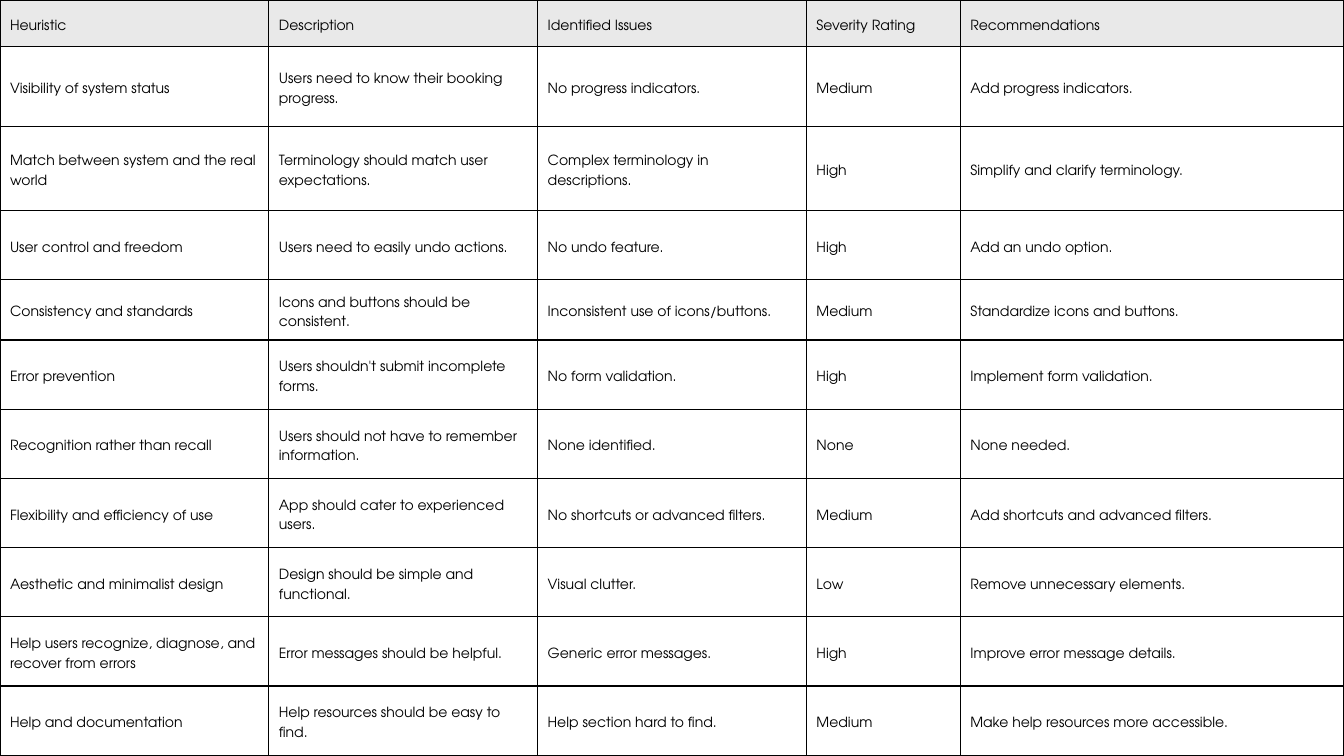
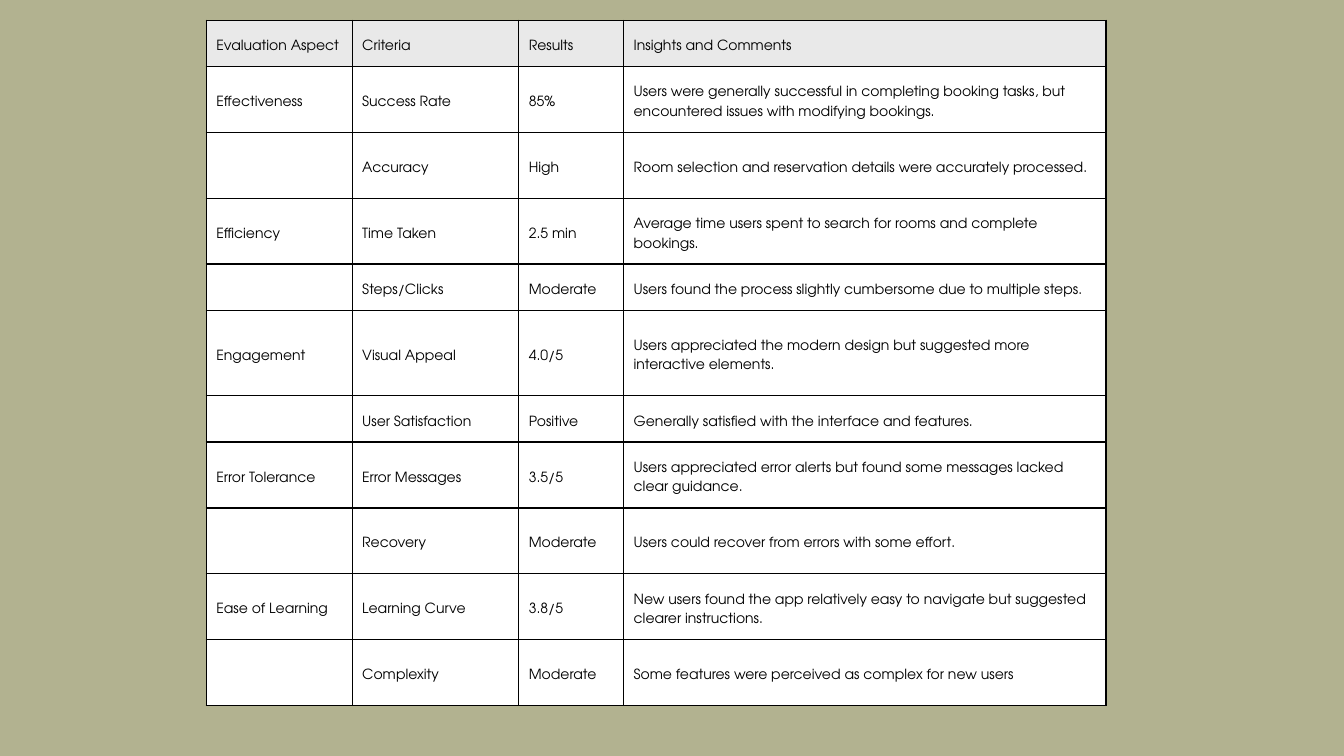
from dataclasses import dataclass

from lxml import etree
from pptx import Presentation
from pptx.dml.color import RGBColor
from pptx.enum.text import MSO_ANCHOR
from pptx.oxml.ns import qn
from pptx.util import Inches, Pt

MIDDLE = MSO_ANCHOR.MIDDLE
BLANK = 6


@dataclass(frozen=True)
class Theme:
    background: str = "B2B290"
    header: str = "E9E9E9"
    body: str = "FFFFFF"
    ink: str = "000000"
    font: str = "TeX Gyre Adventor"
    size: float = 15
    leading: float = 21
    border: float = 1.5
    inset: float = 0.15


THEME = Theme()
SLIDE_W, SLIDE_H = 20, 11.25
HEADER_H = 0.69

# Content: the first row of each table is its header
HEURISTICS = [
    ("Heuristic", "Description", "Identified Issues", "Severity Rating", "Recommendations"),
    ("Visibility of system status", "Users need to know their booking progress.",
     "No progress indicators.", "Medium", "Add progress indicators."),
    ("Match between system and the real world", "Terminology should match user expectations.",
     "Complex terminology in descriptions.", "High", "Simplify and clarify terminology."),
    ("User control and freedom", "Users need to easily undo actions.",
     "No undo feature.", "High", "Add an undo option."),
    ("Consistency and standards", "Icons and buttons should be consistent.",
     "Inconsistent use of icons/buttons.", "Medium", "Standardize icons and buttons."),
    ("Error prevention", "Users shouldn't submit incomplete forms.",
     "No form validation.", "High", "Implement form validation."),
    ("Recognition rather than recall", "Users should not have to remember information.",
     "None identified.", "None", "None needed."),
    ("Flexibility and efficiency of use", "App should cater to experienced users.",
     "No shortcuts or advanced filters.", "Medium", "Add shortcuts and advanced filters."),
    ("Aesthetic and minimalist design", "Design should be simple and functional.",
     "Visual clutter.", "Low", "Remove unnecessary elements."),
    ("Help users recognize, diagnose, and recover from errors",
     "Error messages should be helpful.",
     "Generic error messages.", "High", "Improve error message details."),
    ("Help and documentation", "Help resources should be easy to find.",
     "Help section hard to find.", "Medium", "Make help resources more accessible."),
]

EVALUATION = [
    ("Evaluation Aspect", "Criteria", "Results", "Insights and Comments"),
    ("Effectiveness", "Success Rate", "85%",
     "Users were generally successful in completing booking tasks, "
     "but encountered issues with modifying bookings."),
    ("", "Accuracy", "High",
     "Room selection and reservation details were accurately processed."),
    ("Efficiency", "Time Taken", "2.5 min",
     "Average time users spent to search for rooms and complete bookings."),
    ("", "Steps/Clicks", "Moderate",
     "Users found the process slightly cumbersome due to multiple steps."),
    ("Engagement", "Visual Appeal", "4.0/5",
     "Users appreciated the modern design but suggested more interactive elements."),
    ("", "User Satisfaction", "Positive",
     "Generally satisfied with the interface and features."),
    ("Error Tolerance", "Error Messages", "3.5/5",
     "Users appreciated error alerts but found some messages lacked clear guidance."),
    ("", "Recovery", "Moderate", "Users could recover from errors with some effort."),
    ("Ease of Learning", "Learning Curve", "3.8/5",
     "New users found the app relatively easy to navigate but suggested clearer instructions."),
    ("", "Complexity", "Moderate", "Some features were perceived as complex for new users"),
]

# Layout: usual row height, with the rows that differ from it by index
SLIDES = [
    dict(rows=HEURISTICS, left=0, top=0, widths=(4, 4, 4, 2.29, 5.71),
         row_h=1.03, special={1: 1.19, 2: 1.25, 4: 0.9}),
    dict(rows=EVALUATION, left=3.07, top=0.3, widths=(2.17, 2.48, 1.56, 7.18),
         row_h=0.98, special={4: HEADER_H, 5: 1.27, 6: HEADER_H}),
]


def set_borders(cell):
    tcPr = cell._tc.get_or_add_tcPr()
    for side in ("a:lnL", "a:lnR", "a:lnT", "a:lnB"):
        ln = etree.SubElement(tcPr, qn(side), w=str(Pt(THEME.border)))
        fill = etree.SubElement(ln, qn("a:solidFill"))
        etree.SubElement(fill, qn("a:srgbClr"), val=THEME.ink)


def style_cell(cell, text, color):
    set_borders(cell)
    cell.fill.solid()
    cell.fill.fore_color.rgb = RGBColor.from_string(color)
    cell.vertical_anchor = MIDDLE
    inset = Inches(THEME.inset)
    cell.margin_left = cell.margin_right = cell.margin_top = cell.margin_bottom = inset
    cell.text = text
    p = cell.text_frame.paragraphs[0]
    p.line_spacing = Pt(THEME.leading)
    p.font.name = THEME.font
    p.font.size = Pt(THEME.size)
    p.font.color.rgb = RGBColor.from_string(THEME.ink)


def add_grid(s, rows, left, top, widths, row_h, special):
    heights = [special.get(i, row_h) if i else HEADER_H for i in range(len(rows))]
    box = (Inches(v) for v in (left, top, sum(widths), sum(heights)))
    table = s.shapes.add_table(len(rows), len(widths), *box).table
    table.first_row = table.horz_banding = False
    for column, width in zip(table.columns, widths):
        column.width = Inches(width)
    for i, (row, texts) in enumerate(zip(table.rows, rows)):
        row.height = Inches(heights[i])
        for cell, text in zip(row.cells, texts):
            style_cell(cell, text, THEME.body if i else THEME.header)


def main():
    prs = Presentation()
    prs.slide_width, prs.slide_height = Inches(SLIDE_W), Inches(SLIDE_H)
    for content in SLIDES:
        s = prs.slides.add_slide(prs.slide_layouts[BLANK])
        s.background.fill.solid()
        s.background.fill.fore_color.rgb = RGBColor.from_string(THEME.background)
        add_grid(s, **content)
    prs.save("out.pptx")


if __name__ == "__main__":
    main()
